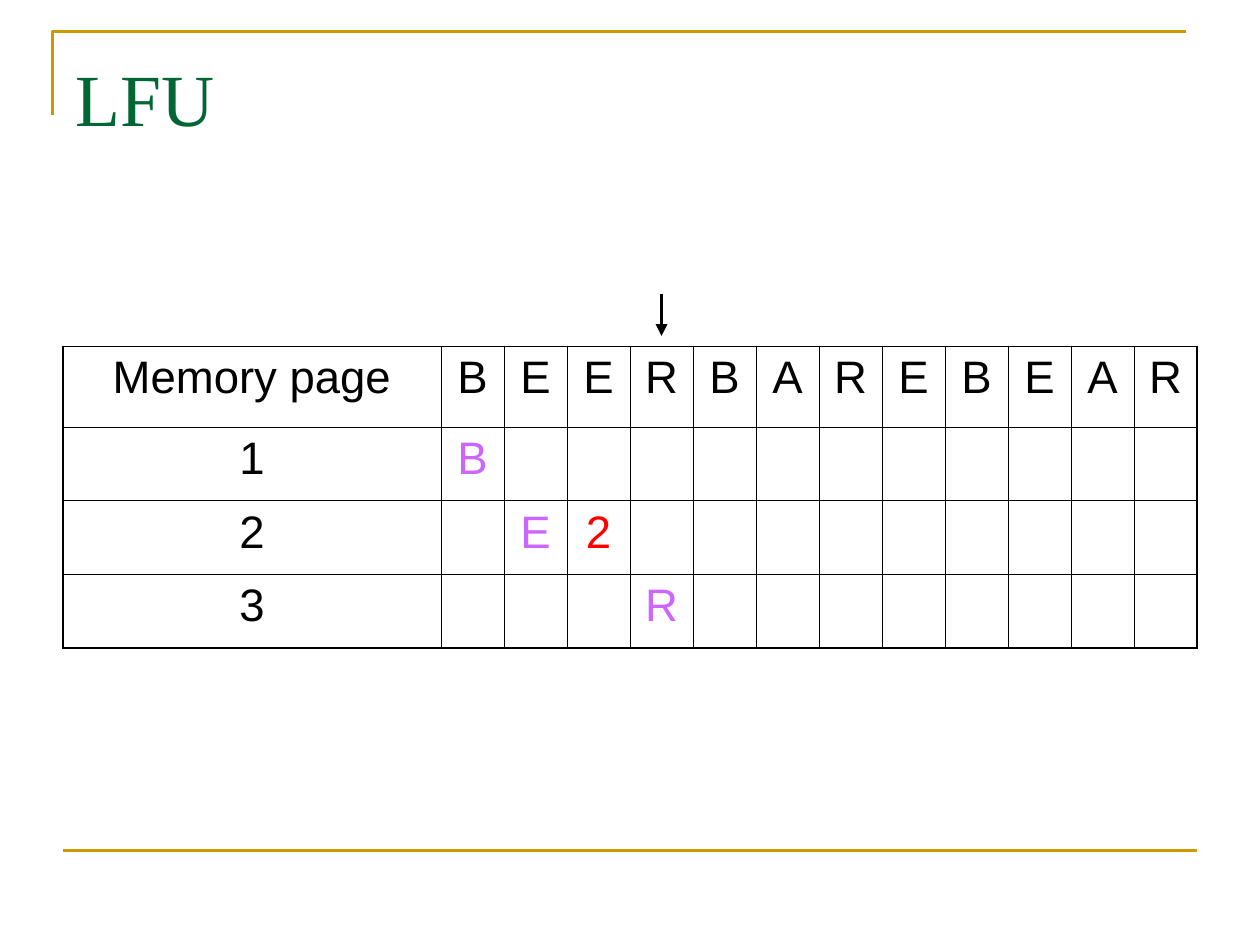
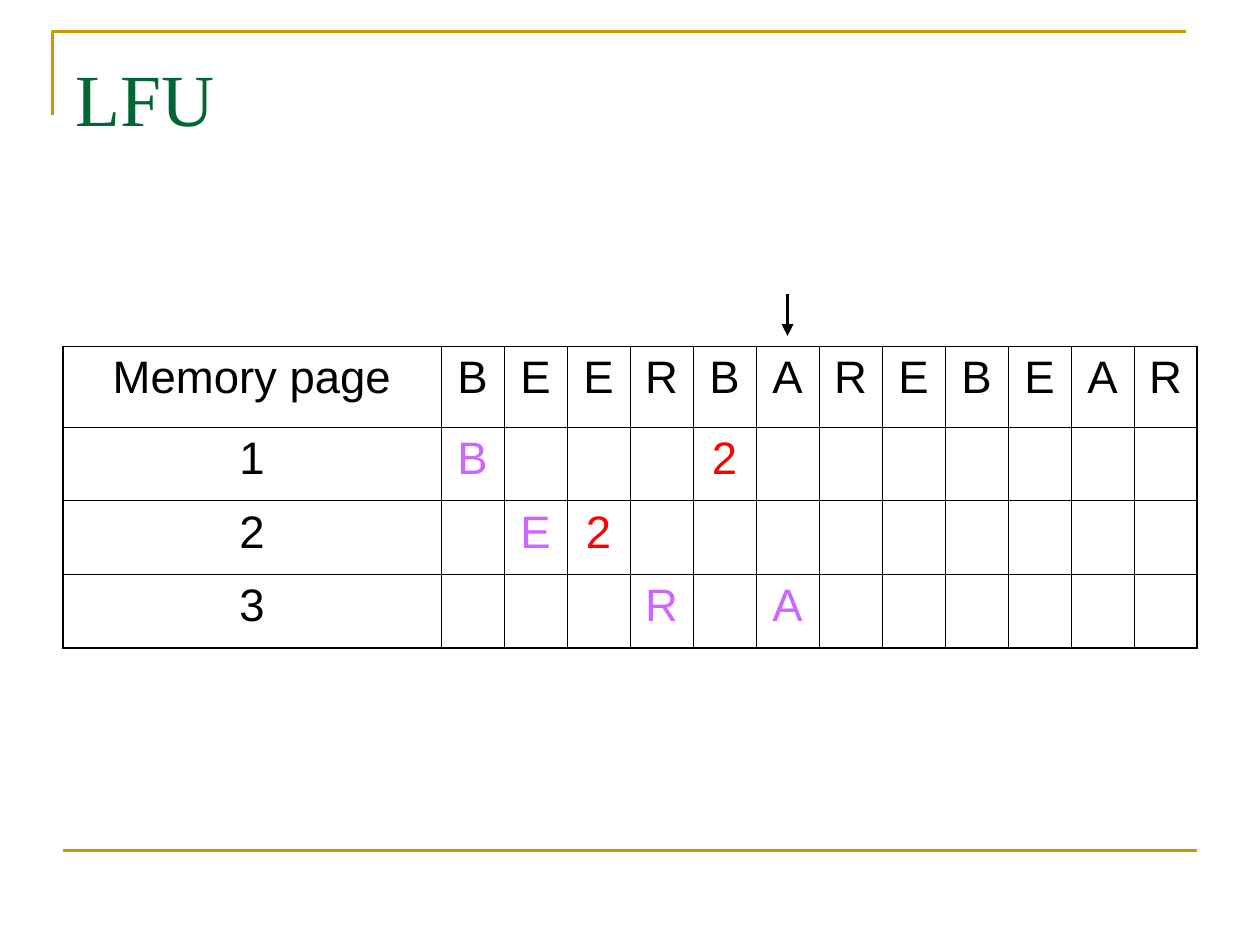
import lxml.etree
import pptx
import pptx.dml.color
import pptx.enum.shapes
import pptx.enum.text
import pptx.oxml.ns
import pptx.util

GOLD, GREEN, BLACK, VIOLET, RED = "CC9900", "006633", "000000", "CC66FF", "FF0000"
TITLE_FONT, BODY_FONT = "Times New Roman", "Arial"
GRID_COLUMNS, GRID_ROWS = 120, 90
UNIT = pptx.util.Inches(10) / GRID_COLUMNS
TABLE_LEFT, TABLE_TOP, LABEL_WIDTH, STEP_WIDTH = 6, 33, 36, 6
ROW_HEIGHTS = [7.7, 7, 7, 7]
REQUESTS = "BEERBAREBEAR"
PLACEMENTS = [(1, "B"), (2, "E"), (2, "2"), (3, "R"), (1, "2"), (3, "A")]


def grid(count):
    """Convert grid units to a length."""
    return pptx.util.Emu(round(count * UNIT))


def color(hex_string):
    """Convert a hex string to a colour."""
    return pptx.dml.color.RGBColor.from_string(hex_string)


def format_runs(paragraph, font_name, size, hex_string):
    """Apply one font to every run of a paragraph."""
    for run in paragraph.runs:
        run.font.name = font_name
        run.font.size = pptx.util.Pt(size)
        run.font.color.rgb = color(hex_string)


def add_line(slide, start, end, hex_string, width, arrow=False):
    """Draw a straight line between two grid points."""
    connector = slide.shapes.add_connector(
        pptx.enum.shapes.MSO_CONNECTOR.STRAIGHT, *map(grid, start + end))
    connector.line.color.rgb = color(hex_string)
    connector.line.width = pptx.util.Pt(width)
    properties = connector.element.spPr
    if arrow:
        outline = properties.find(pptx.oxml.ns.qn("a:ln"))
        lxml.etree.SubElement(outline, pptx.oxml.ns.qn("a:tailEnd"), type="triangle")
    lxml.etree.SubElement(properties, pptx.oxml.ns.qn("a:effectLst"))
    return connector


def add_corner(slide):
    """Draw the open corner that frames the title."""
    builder = slide.shapes.build_freeform(grid(5), grid(11))
    builder.add_line_segments([(grid(5), grid(3)), (grid(113), grid(3))], close=False)
    corner = builder.convert_to_shape()
    corner.shadow.inherit = False
    corner.fill.background()
    corner.line.color.rgb = color(GOLD)
    corner.line.width = pptx.util.Pt(1.5)
    return corner


def prepare_layout(layout, slide):
    """Give the layout its title position and move the gold lines onto it."""
    title = layout.placeholders[0]
    title.left, title.top, title.width, title.height = map(grid, (6, 3.6, 108, 15))
    frame = title.text_frame
    frame.auto_size = pptx.enum.text.MSO_AUTO_SIZE.NONE
    frame.vertical_anchor = pptx.enum.text.MSO_ANCHOR.TOP
    frame.margin_top = pptx.util.Inches(0.12)
    rule = add_line(slide, (6, 81), (114, 81), GOLD, 1.5)
    for shape in (rule, add_corner(slide)):
        layout.shapes.element.insert(2, shape.element)


def set_title(slide, text):
    """Fill and format the title placeholder."""
    slide.shapes.title.text_frame.text = text
    paragraph = slide.shapes.title.text_frame.paragraphs[0]
    paragraph.alignment = pptx.enum.text.PP_ALIGN.LEFT
    format_runs(paragraph, TITLE_FONT, 42, GREEN)


def set_borders(cell, outer_sides):
    """Draw the four cell borders, heavier on the outer sides."""
    properties = cell._tc.get_or_add_tcPr()
    for side in "LRTB":
        width = pptx.util.Pt(1.08 if side in outer_sides else 0.45)
        line = lxml.etree.SubElement(
            properties, pptx.oxml.ns.qn("a:ln" + side), w=str(width))
        fill = lxml.etree.SubElement(line, pptx.oxml.ns.qn("a:solidFill"))
        lxml.etree.SubElement(fill, pptx.oxml.ns.qn("a:srgbClr"), val=BLACK)


def fill_cell(cell, text, hex_string):
    """Write centred text in a cell."""
    cell.text_frame.text = text
    paragraph = cell.text_frame.paragraphs[0]
    paragraph.alignment = pptx.enum.text.PP_ALIGN.CENTER
    format_runs(paragraph, BODY_FONT, 26, hex_string)


def add_memory_table(slide, step):
    """Add the table of memory pages as it stands after a step."""
    row_count, column_count = len(ROW_HEIGHTS), len(REQUESTS) + 1
    widths = [LABEL_WIDTH] + [STEP_WIDTH] * len(REQUESTS)
    table = slide.shapes.add_table(
        row_count, column_count, grid(TABLE_LEFT), grid(TABLE_TOP),
        grid(sum(widths)), grid(sum(ROW_HEIGHTS))).table
    table.first_row = table.horz_banding = False
    for column, width in zip(table.columns, widths):
        column.width = grid(width)
    for row, height in zip(table.rows, ROW_HEIGHTS):
        row.height = grid(height)
    for row in range(row_count):
        for column in range(column_count):
            cell = table.cell(row, column)
            edges = {"L": column == 0, "R": column == column_count - 1,
                     "T": row == 0, "B": row == row_count - 1}
            set_borders(cell, [side for side, outer in edges.items() if outer])
            cell.fill.background()
    for column, text in enumerate(["Memory page", *REQUESTS]):
        fill_cell(table.cell(0, column), text, BLACK)
    for page in range(1, row_count):
        fill_cell(table.cell(page, 0), str(page), BLACK)
    for column, (page, mark) in enumerate(PLACEMENTS[:step], start=1):
        fill_cell(table.cell(page, column), mark, RED if mark.isdigit() else VIOLET)


def add_step_arrow(slide, step):
    """Point at the request of the current step."""
    center = TABLE_LEFT + LABEL_WIDTH + (step - 0.5) * STEP_WIDTH
    add_line(slide, (center, 28), (center, 32), BLACK, 2.25, arrow=True)


def main():
    """Build the slides and save the presentation."""
    presentation = pptx.Presentation()
    presentation.slide_width = grid(GRID_COLUMNS)
    presentation.slide_height = grid(GRID_ROWS)
    layout = presentation.slide_layouts[5]
    for step in (4, 6):
        slide = presentation.slides.add_slide(layout)
        if len(presentation.slides) == 1:
            prepare_layout(layout, slide)
        set_title(slide, "LFU")
        add_memory_table(slide, step)
        add_step_arrow(slide, step)
    presentation.save("out.pptx")


if __name__ == "__main__":
    main()
